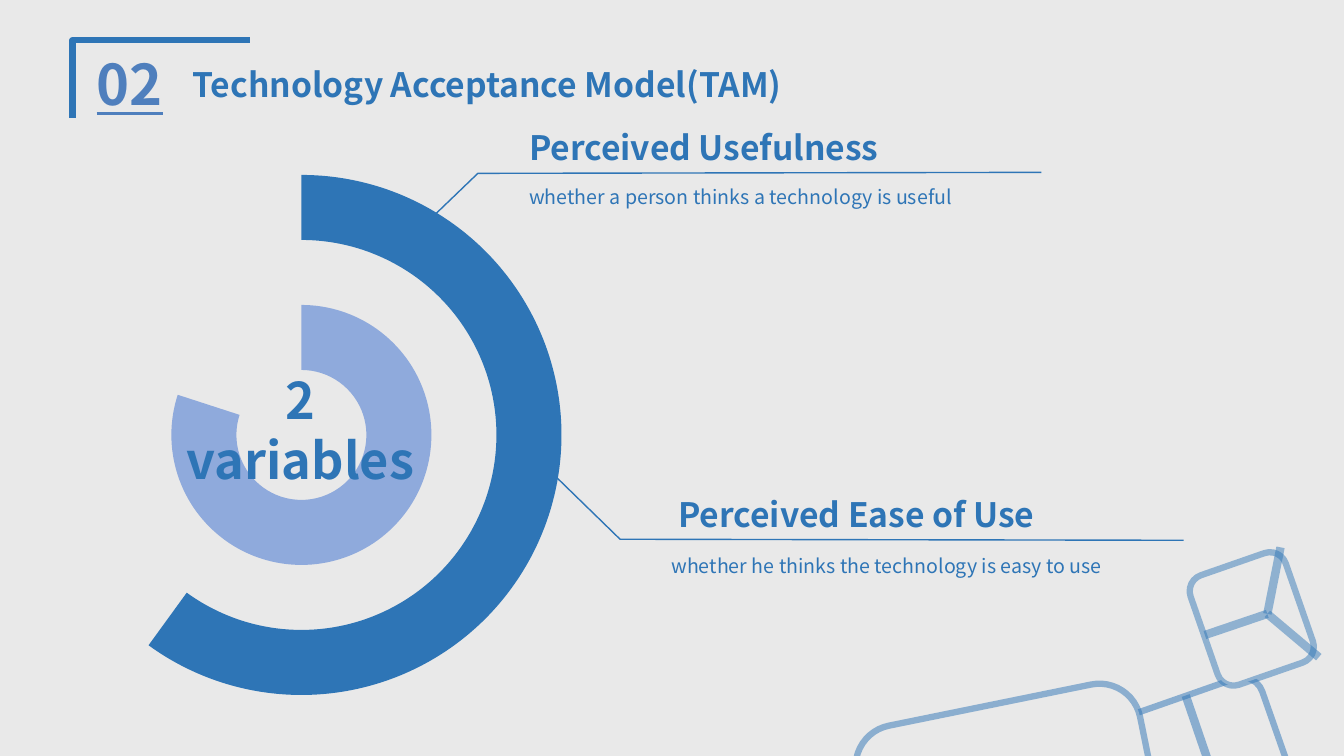
from lxml import etree
from pptx import Presentation
from pptx.chart.data import CategoryChartData
from pptx.dml.color import RGBColor
from pptx.enum.chart import XL_CHART_TYPE as Chart
from pptx.enum.shapes import MSO_CONNECTOR as Link, MSO_SHAPE as Shape
from pptx.enum.text import MSO_ANCHOR as Anchor, MSO_AUTO_SIZE as Fit, PP_ALIGN as Align
from pptx.oxml import parse_xml
from pptx.oxml.ns import nsdecls, qn
from pptx.util import Inches, Pt

BLUE = RGBColor(0x2E, 0x75, 0xB6)
STEEL = RGBColor(0x4F, 0x7F, 0xBD)
PALE = RGBColor(0x8F, 0xAA, 0xDC)
GREY = RGBColor(0xE9, 0xE9, 0xE9)
BLACK = RGBColor(0, 0, 0)
FONT = "Noto Sans CJK SC"


def write(box, text, size, color=BLUE, bold=True, under=None, align=Align.LEFT, space=1.0):
    frame = box.text_frame
    frame.text = text
    frame.word_wrap = True
    frame.auto_size = Fit.SHAPE_TO_FIT_TEXT
    frame.vertical_anchor = Anchor.TOP
    for para in frame.paragraphs:
        para.alignment = align
        para.line_spacing = space
        font = para.runs[0].font
        font.name, font.size, font.bold = FONT, Pt(size), bold
        font.underline = under
        font.color.rgb = color


def stroke(item, width, alpha=100):
    """Give a shape or connector a blue line and no shadow."""
    item.line.color.rgb = BLUE
    item.line.width = Pt(width)
    props = item._element.spPr
    if alpha < 100:
        tint = props.find(".//" + qn("a:ln")).find(".//" + qn("a:srgbClr"))
        etree.SubElement(tint, qn("a:alpha")).set("val", str(alpha * 1000))
    if props.find(qn("a:effectLst")) is None:
        etree.SubElement(props, qn("a:effectLst"))


deck = Presentation()
deck.slide_width, deck.slide_height = Inches(13.33), Inches(7.5)
slide = deck.slides.add_slide(deck.slide_layouts[5])
slide.background.fill.solid()
slide.background.fill.fore_color.rgb = GREY
shapes = slide.shapes

# Robot arm: each part is a rounded block with its own seams
arm = [
    ((11.23, 6.87, 1.47, 1.26), 340.7, 51, [(11.76, 6.9, 12.03, 7.69)]),
    ((8.63, 6.97, 2.87, 2.47), 168.5, 49, []),
    ((11.84, 5.64, 1.15, 1), 250.8, 48, [
        (11.95, 6.3, 12.57, 6.09),
        (13.08, 6.52, 12.57, 6.09),
        (12.7, 5.43, 12.57, 6.09),
    ]),
]
for place, turn, alpha, seams in arm:
    block = shapes.add_shape(Shape.ROUNDED_RECTANGLE, *map(Inches, place))
    block.rotation = turn
    block.fill.solid()
    block.fill.fore_color.rgb = GREY
    block.shadow.inherit = False
    stroke(block, 4.5, alpha)
    for ends in seams:
        seam = shapes.add_connector(Link.STRAIGHT, *map(Inches, ends))
        stroke(seam, 6, alpha)

# Heading
number = shapes.add_textbox(Inches(0.86), Inches(0.44), Inches(0.95), Inches(0.77))
write(number, "02", 40, color=STEEL, under=True)
title = shapes.title
title.left, title.top = Inches(1.81), Inches(0.58)
title.width, title.height = Inches(8.7), Inches(0.5)
write(title, "Technology Acceptance Model(TAM)", 24)

# Rings: the middle one is an empty gap
data = CategoryChartData()
data.categories = ["1", "2"]
rings = [((80, 20), PALE), ((50, 50), None), ((60, 40), BLUE)]
for index, (values, color) in enumerate(rings, 1):
    data.add_series(f"Series {index}", values)
chart = shapes.add_chart(Chart.DOUGHNUT, Inches(0.41), Inches(1.39),
                         Inches(5.16), Inches(5.61), data).chart
chart.has_legend = chart.has_title = False
chart.font.name, chart.font.size = "Calibri", Pt(10)
chart.font.color.rgb = BLACK
plot = chart.plots[0]
plot.vary_by_categories = True
plot._element.find(qn("c:holeSize")).set("val", "79")
for series, (values, color) in zip(plot.series, rings):
    for index in range(len(values)):
        part = series.points[index].format
        part.line.fill.background()
        if color and index == 0:
            part.fill.solid()
            part.fill.fore_color.rgb = color
        else:
            part.fill.background()
area = chart._chartSpace.chart.plotArea
for old in area.findall(qn("c:layout")):
    area.remove(old)
area.insert(0, parse_xml(
    f'<c:layout {nsdecls("c")}><c:manualLayout><c:layoutTarget val="inner"/>'
    '<c:xMode val="edge"/><c:yMode val="edge"/><c:x val="0"/><c:y val="0.047"/>'
    '<c:w val="1"/><c:h val="0.957"/></c:manualLayout></c:layout>'))

# Heading corner and the two callout lines
lines = [
    (4.5, [(0.72, 1.17), (0.72, 0.4), (2.48, 0.4)]),
    (1, [(3.97, 2.46), (4.74, 1.72), (10.33, 1.71)]),
    (1, [(5.39, 4.61), (6.15, 5.35), (11.74, 5.36)]),
]
for width, points in lines:
    start, *rest = [(Inches(x), Inches(y)) for x, y in points]
    pen = shapes.build_freeform(*start)
    pen.add_line_segments(rest, close=False)
    bend = pen.convert_to_shape()
    bend.fill.background()
    bend.shadow.inherit = False
    stroke(bend, width)

# Callout texts
callouts = [
    (5.15, 5.15, 1.21, 1.72, "Perceived Usefulness",
     "whether a person thinks a technology is useful"),
    (6.63, 6.56, 4.85, 5.38, "Perceived Ease of Use",
     "whether he thinks the technology is easy to use"),
]
for head_x, note_x, head_y, note_y, head, note in callouts:
    box = shapes.add_textbox(Inches(head_x), Inches(head_y), Inches(4.5), Inches(0.5))
    write(box, head, 24)
    box = shapes.add_textbox(Inches(note_x), Inches(note_y), Inches(5.35), Inches(0.41))
    write(box, note, 14, bold=False, space=1.3)

center = shapes.add_textbox(Inches(0.94), Inches(3.61), Inches(4.08), Inches(1.31))
write(center, "2\nvariables", 36, align=Align.CENTER)

deck.save("out.pptx")
